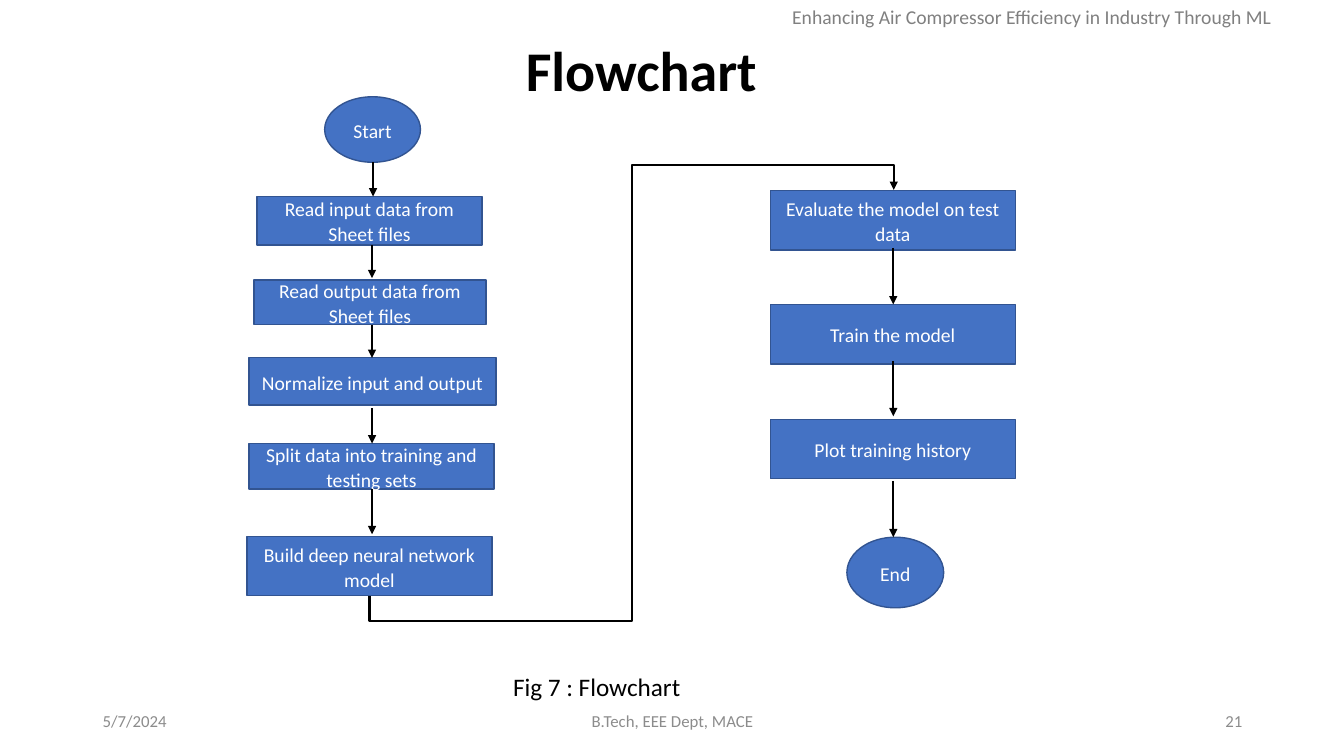
from dataclasses import dataclass

from lxml.etree import SubElement
from pptx import Presentation
from pptx.dml.color import RGBColor
from pptx.enum.shapes import MSO_CONNECTOR, MSO_SHAPE
from pptx.enum.text import MSO_ANCHOR, MSO_AUTO_SIZE, PP_ALIGN
from pptx.oxml.ns import qn
from pptx.util import Emu, Pt


@dataclass(frozen=True)
class Theme:
    """Colours, font and type sizes of the slide."""
    font: str = "Calibri"
    ink: str = "000000"
    muted: str = "8C8C8C"
    header: str = "808080"
    fill: str = "4472C4"
    edge: str = "325491"
    on_fill: str = "FFFFFF"
    title_size: int = 40
    caption_size: int = 18
    body_size: int = 14
    footer_size: int = 12


THEME = Theme()
LEFT, CENTER, RIGHT = PP_ALIGN.LEFT, PP_ALIGN.CENTER, PP_ALIGN.RIGHT
TOP, MIDDLE = MSO_ANCHOR.TOP, MSO_ANCHOR.MIDDLE
RECT, OVAL = MSO_SHAPE.RECTANGLE, MSO_SHAPE.OVAL

STEPS = [
    (OVAL, "Start", 322, 96, 95, 65),
    (RECT, "Read input data from Sheet files", 255, 195, 223, 48),
    (RECT, "Read output data from Sheet files", 252, 278, 230, 44),
    (RECT, "Normalize input and output", 247, 355, 245, 47),
    (RECT, "Split data into training and testing sets", 247, 440, 243, 45),
    (RECT, "Build deep neural network model", 245, 532, 243, 59),
    (RECT, "Evaluate the model on test data", 764, 189, 243, 59),
    (RECT, "Train the model", 764, 302, 243, 59),
    (RECT, "Plot training history", 764, 416, 243, 59),
    (OVAL, "End", 840, 533, 96, 70),
]
ARROWS = [
    (370, [(161, 195)]),
    (369, [(243, 276), (322, 355), (405, 440), (485, 530)]),
    (886, [(246, 302), (358, 413), (477, 533)]),
]
LABELS = [
    ("5/7/2024", 92, 695, 300, 40, LEFT, MIDDLE, THEME.footer_size, THEME.muted),
    ("B.Tech, EEE Dept, MACE", 442, 695, 450, 40, CENTER, MIDDLE, THEME.footer_size, THEME.muted),
    ("21", 942, 695, 300, 40, RIGHT, MIDDLE, THEME.footer_size, THEME.muted),
    ("Enhancing Air Compressor Efficiency in Industry Through ML",
     712, 0, 623, 34, CENTER, TOP, THEME.body_size, THEME.header),
    ("Fig 7 : Flowchart", 499, 661, 500, 40, LEFT, TOP, THEME.caption_size, THEME.ink),
]


def px(n):
    """Turn px, at 100 to the inch, into EMU."""
    return Emu(n * 9144)


def rgb(color):
    """Turn a hex string into a colour."""
    return RGBColor.from_string(color)


def write(sp, text, size, color, align, anchor, bold=False):
    """Put one formatted paragraph in a shape and return it."""
    tf = sp.text_frame
    tf.text = text
    tf.word_wrap = True
    tf.auto_size = MSO_AUTO_SIZE.NONE
    tf.vertical_anchor = anchor
    p = tf.paragraphs[0]
    p.alignment = align
    p.font.name = THEME.font
    p.font.size = Pt(size)
    p.font.bold = bold
    p.font.color.rgb = rgb(color)
    return p


def add_title(s, text):
    """Fill and place the title placeholder."""
    sp = s.shapes.title
    sp.left, sp.top, sp.width, sp.height = map(px, (61, 0, 1150, 145))
    p = write(sp, text, THEME.title_size, THEME.ink, CENTER, MIDDLE, bold=True)
    p.line_spacing = 0.9


def add_label(s, text, x, y, w, h, align, anchor, size, color):
    """Add a plain text box."""
    sp = s.shapes.add_textbox(*map(px, (x, y, w, h)))
    write(sp, text, size, color, align, anchor)


def add_step(s, kind, text, x, y, w, h):
    """Add one flowchart node."""
    sp = s.shapes.add_shape(kind, *map(px, (x, y, w, h)))
    sp.shadow.inherit = False
    sp.fill.solid()
    sp.fill.fore_color.rgb = rgb(THEME.fill)
    sp.line.color.rgb = rgb(THEME.edge)
    sp.line.width = Pt(1)
    p = write(sp, text, THEME.body_size, THEME.on_fill, CENTER, MIDDLE)
    p.line_spacing = 1.07
    p.space_after = Pt(8)


def add_arrow(s, x1, y1, x2, y2, kind=MSO_CONNECTOR.STRAIGHT):
    """Add a connector with a triangle at its end."""
    cx = s.shapes.add_connector(kind, *map(px, (x1, y1, x2, y2)))
    cx.line.color.rgb = rgb(THEME.ink)
    cx.line.width = Pt(1.5)
    SubElement(cx.line._get_or_add_ln(), qn("a:tailEnd"), type="triangle")
    SubElement(cx._element.spPr, qn("a:effectLst"))
    return cx


def add_column_link(s):
    """Link the foot of the left column to the head of the right one."""
    cx = add_arrow(s, 828, 650, 425, 130, MSO_CONNECTOR.ELBOW)
    spPr = cx._element.spPr
    spPr.find(qn("a:xfrm")).set("rot", "5400000")
    geom = spPr.find(qn("a:prstGeom"))
    geom.set("prst", "bentConnector5")
    guides = geom.find(qn("a:avLst"))
    for i, value in enumerate((-6200, 50000, 106200), 1):
        SubElement(guides, qn("a:gd"), name=f"adj{i}", fmla=f"val {value}")


def main():
    """Build and save the slide."""
    prs = Presentation()
    prs.slide_width, prs.slide_height = px(1333), px(750)
    s = prs.slides.add_slide(prs.slide_layouts[5])
    add_title(s, "Flowchart")
    for label in LABELS:
        add_label(s, *label)
    for step in STEPS:
        add_step(s, *step)
    for x, spans in ARROWS:
        for top, bottom in spans:
            add_arrow(s, x, top, x, bottom)
    add_column_link(s)
    prs.save("out.pptx")


if __name__ == "__main__":
    main()
